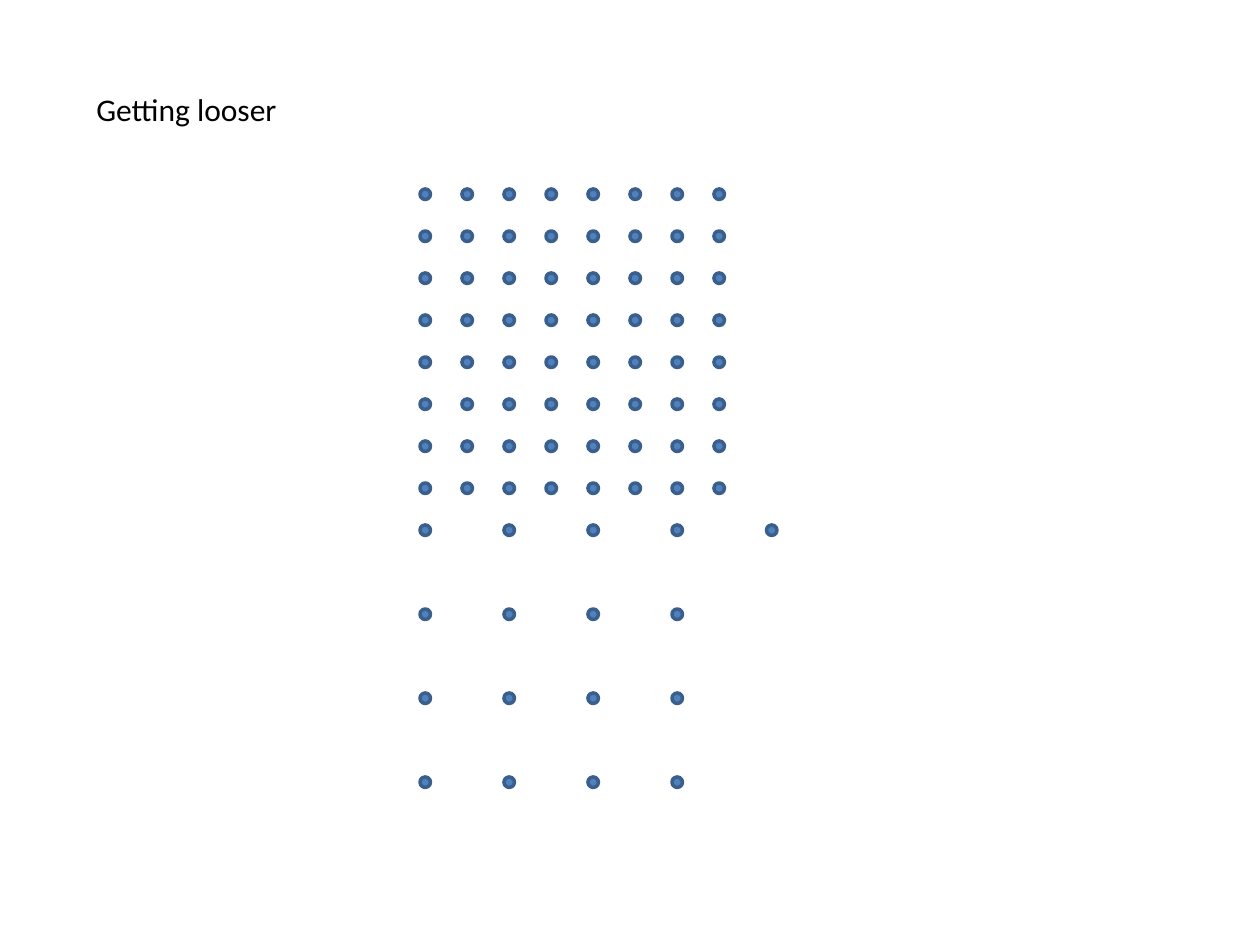
from dataclasses import dataclass

from pptx import Presentation
from pptx.dml.color import RGBColor
from pptx.enum.shapes import MSO_SHAPE
from pptx.enum.text import MSO_AUTO_SIZE
from pptx.shapes.shapetree import GroupShapes, SlideShapes
from pptx.util import Emu, Pt

PX_PER_INCH = 120
EMU_PER_PX = 914400 // PX_PER_INCH
DOT_SIZE = 10
COLORS = {"dot": "4F81BD", "rim": "3A5F8C", "text": "000000"}


@dataclass(frozen=True)
class DotGrid:
    left: int
    top: int
    columns: int
    rows: int
    pitch: int


DENSE_GRID = DotGrid(left=400, top=180, columns=8, rows=8, pitch=40)
LOOSE_GRID = DotGrid(left=400, top=500, columns=4, rows=4, pitch=80)


def px(length: int) -> Emu:
    return Emu(length * EMU_PER_PX)


def color(name: str) -> RGBColor:
    return RGBColor.from_string(COLORS[name])


def draw_dot(shapes: SlideShapes | GroupShapes, left: int, top: int) -> None:
    dot = shapes.add_shape(
        MSO_SHAPE.OVAL, px(left), px(top), px(DOT_SIZE), px(DOT_SIZE)
    )
    dot.shadow.inherit = False
    dot.fill.solid()
    dot.fill.fore_color.rgb = color("dot")
    dot.line.color.rgb = color("rim")
    dot.line.width = Pt(2)


def draw_grid(shapes: SlideShapes, grid: DotGrid) -> None:
    group = shapes.add_group_shape()
    for column in range(grid.columns):
        for row in range(grid.rows):
            draw_dot(
                group.shapes,
                grid.left + column * grid.pitch,
                grid.top + row * grid.pitch,
            )


def draw_title(shapes: SlideShapes, text: str) -> None:
    box = shapes.add_textbox(px(80), px(80), px(199), px(48))
    box.text_frame.word_wrap = False
    box.text_frame.auto_size = MSO_AUTO_SIZE.SHAPE_TO_FIT_TEXT
    para = box.text_frame.paragraphs[0]
    span = para.add_run()
    span.text = text
    span.font.name = "Calibri"
    span.font.size = Pt(18)
    span.font.color.rgb = color("text")


def main() -> None:
    deck = Presentation()
    deck.slide_width = px(1200)
    deck.slide_height = px(900)
    page = deck.slides.add_slide(deck.slide_layouts[6])
    for grid in (DENSE_GRID, LOOSE_GRID):
        draw_grid(page.shapes, grid)
    draw_dot(page.shapes, 730, LOOSE_GRID.top)
    draw_title(page.shapes, "Getting looser")
    deck.save("out.pptx")


if __name__ == "__main__":
    main()
